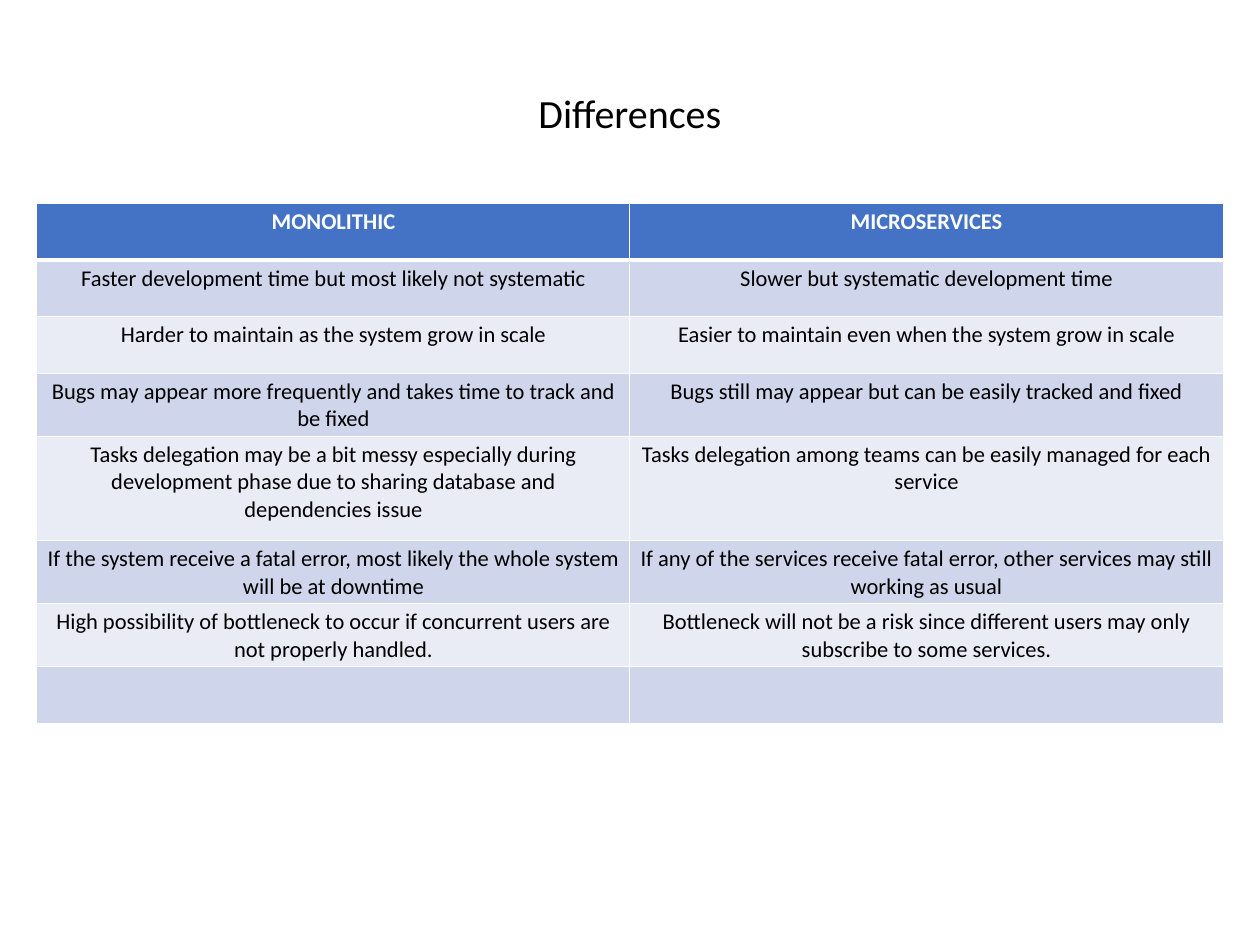
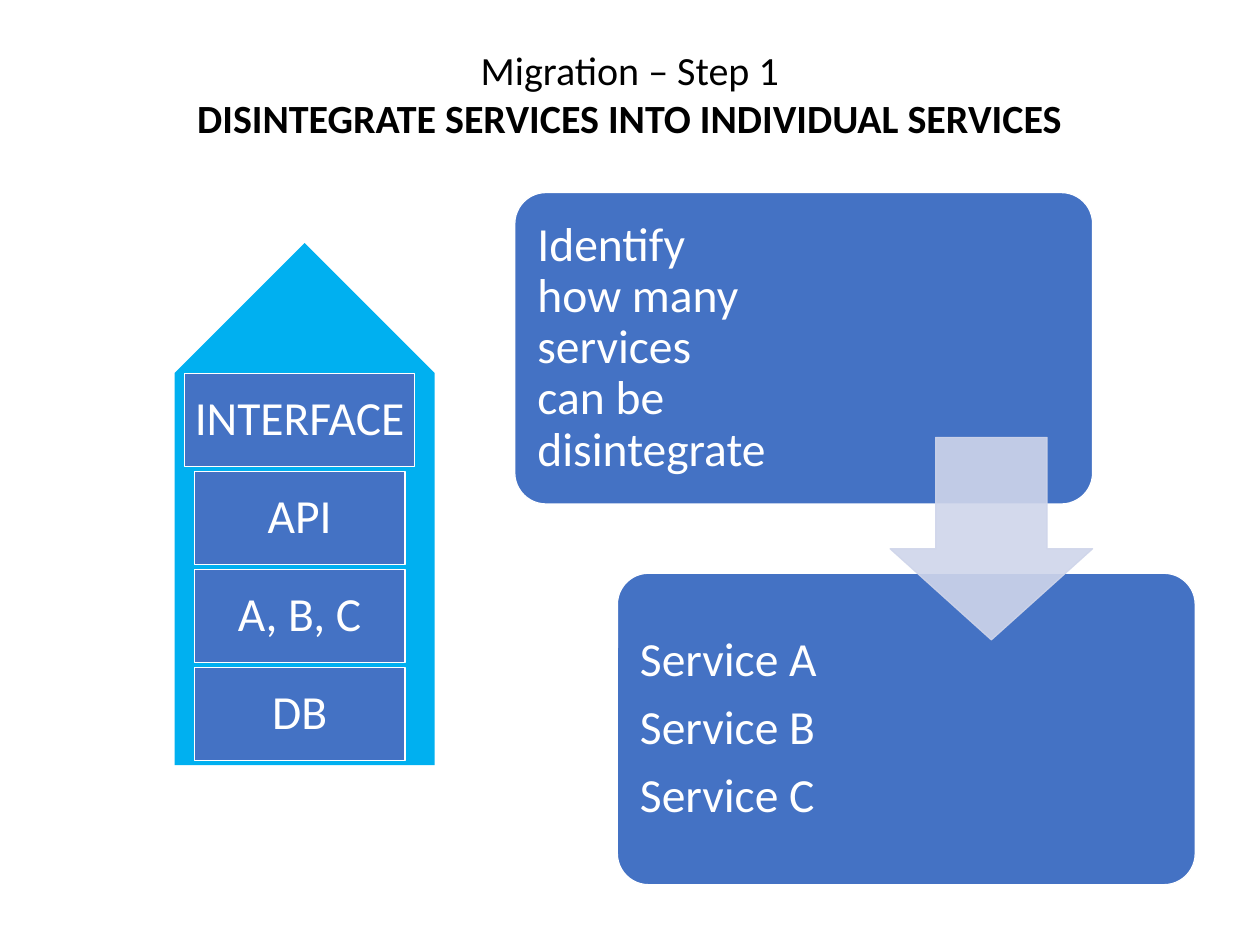
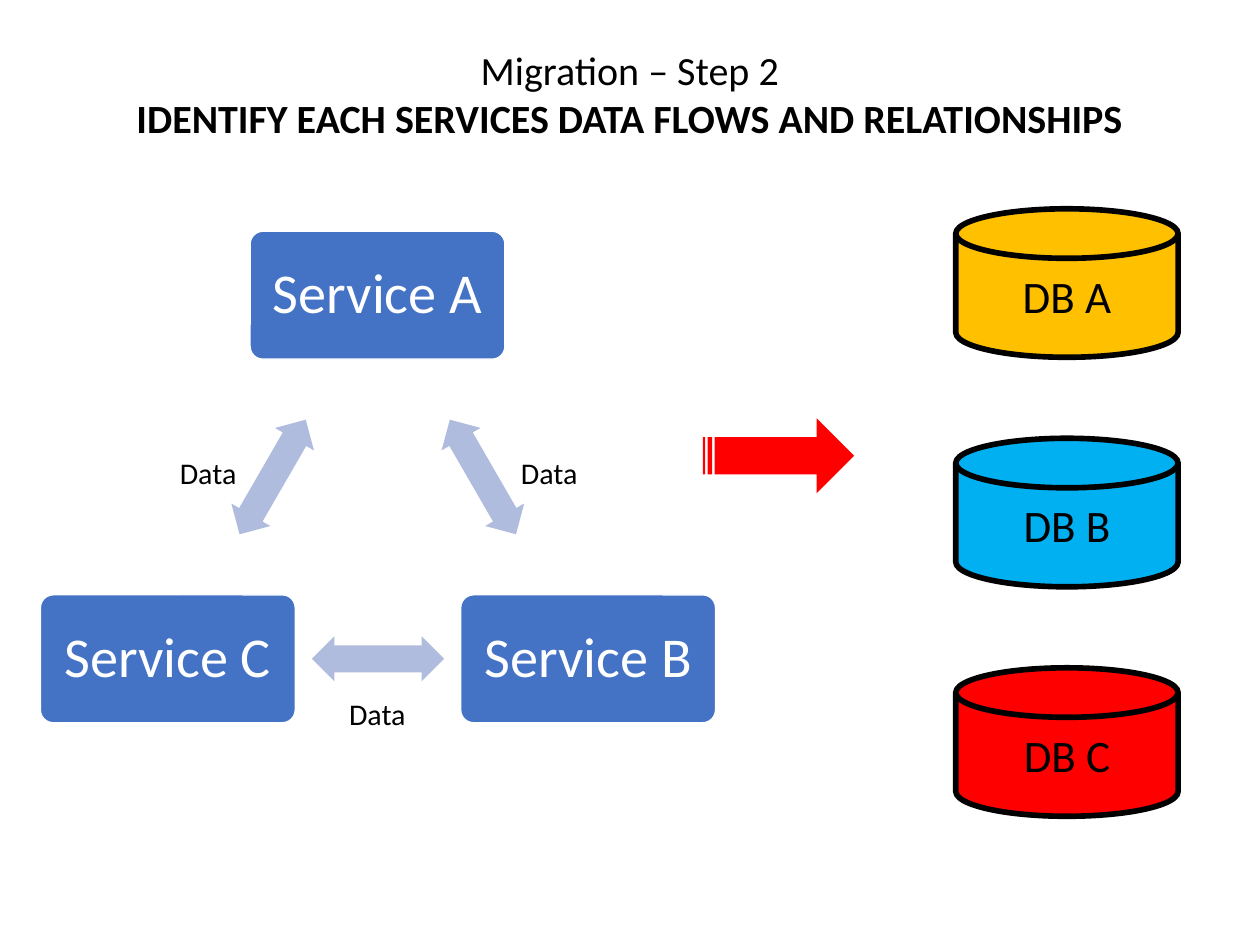
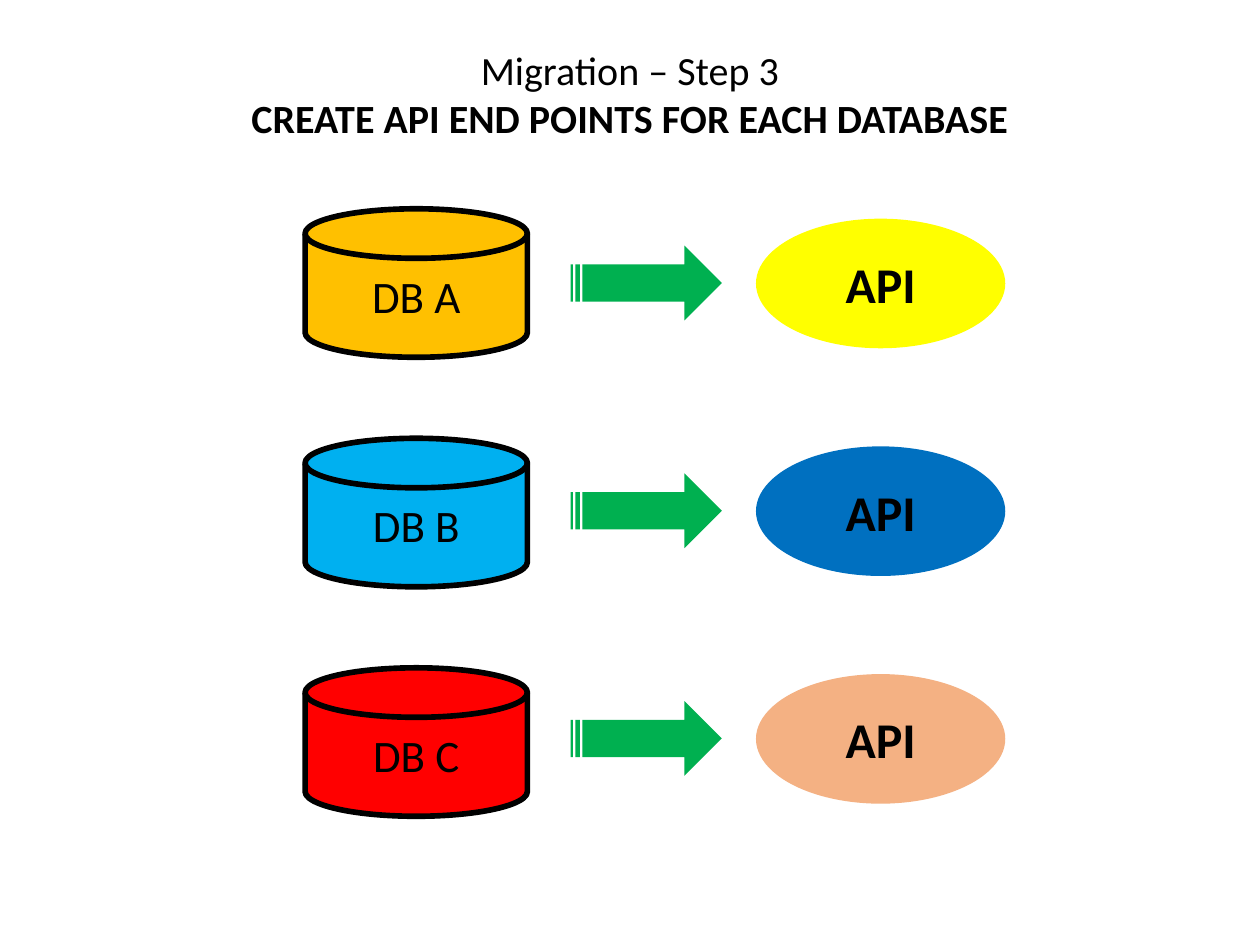
from lxml.etree import SubElement
from pptx import Presentation
from pptx.dml.color import RGBColor
from pptx.enum.shapes import MSO_SHAPE
from pptx.enum.text import MSO_ANCHOR, MSO_AUTO_SIZE, PP_ALIGN
from pptx.oxml.ns import qn
from pptx.util import Inches, Pt

FONT = "Calibri"
SLIDE_WIDTH, SLIDE_HEIGHT = 14, 10.5
COLORS = {
    "white": "FFFFFF",
    "black": "000000",
    "blue": "4472C4",
    "band_dark": "CFD5EA",
    "band_light": "E9EBF5",
    "flow": "B0BCDE",
    "sky": "00B0F0",
    "red": "FF0000",
    "amber": "FFC000",
    "green": "00B050",
    "yellow": "FFFF00",
    "deep_blue": "0070C0",
    "peach": "F4B183",
}
COMPARISON = [
    ("MONOLITHIC", "MICROSERVICES"),
    ("Faster development time but most likely not systematic",
     "Slower but systematic development time"),
    ("Harder to maintain as the system grow in scale",
     "Easier to maintain even when the system grow in scale"),
    ("Bugs may appear more frequently and takes time to track and be fixed",
     "Bugs still may appear but can be easily tracked and fixed"),
    ("Tasks delegation may be a bit messy especially during development phase "
     "due to sharing database and dependencies issue",
     "Tasks delegation among teams can be easily managed for each service"),
    ("If the system receive a fatal error, most likely the whole system will be at downtime",
     "If any of the services receive fatal error, other services may still working as usual"),
    ("High possibility of bottleneck to occur if concurrent users are not properly handled.",
     "Bottleneck will not be a risk since different users may only subscribe to some services."),
    ("", ""),
]
ROW_HEIGHT, TALL_ROW_HEIGHT, TALL_ROW = 0.63, 1.16, 4
DATABASES = [("DB A", "amber"), ("DB B", "sky"), ("DB C", "red")]
DATABASE_STEP = 2.55
API_COLORS = ["yellow", "deep_blue", "peach"]
API_STEP = 2.53


def rgb(name):
    return RGBColor.from_string(COLORS[name])


def write(paragraph, text, size, color="black", bold=False, align=PP_ALIGN.CENTER):
    paragraph.alignment = align
    run = paragraph.add_run()
    run.text = text
    run.font.name = FONT
    run.font.size = Pt(size)
    run.font.bold = bold
    run.font.color.rgb = rgb(color)


def add_shape(slide, kind, box, fill, line=None, line_width=1, adjustments=(), rotation=0):
    shape = slide.shapes.add_shape(kind, *map(Inches, box))
    shape.shadow.inherit = False
    shape.rotation = rotation
    shape.fill.solid()
    shape.fill.fore_color.rgb = rgb(fill)
    if line:
        shape.line.color.rgb = rgb(line)
        shape.line.width = Pt(line_width)
    else:
        shape.line.fill.background()
    for index, value in enumerate(adjustments):
        shape.adjustments[index] = value
    return shape


def fill_frame(shape, lines, size, inset=0.1, right_inset=None, spaced=False, **style):
    frame = shape.text_frame
    frame.word_wrap = True
    frame.vertical_anchor = MSO_ANCHOR.MIDDLE
    frame.margin_left = frame.margin_top = frame.margin_bottom = Inches(inset)
    frame.margin_right = Inches(inset if right_inset is None else right_inset)
    for index, line in enumerate(lines):
        paragraph = frame.add_paragraph() if index else frame.paragraphs[0]
        write(paragraph, line, size, **style)
        if spaced:
            paragraph.line_spacing = 0.9
            paragraph.space_after = Pt(size * 0.35)


def add_text_box(slide, box, wrap):
    frame = slide.shapes.add_textbox(*map(Inches, box)).text_frame
    frame.word_wrap = wrap
    frame.auto_size = MSO_AUTO_SIZE.SHAPE_TO_FIT_TEXT
    return frame


def add_title(slide, top, width, heading, subtitle=None):
    height = 1.18 if subtitle else 0.64
    frame = add_text_box(slide, ((SLIDE_WIDTH - width) / 2, top, width, height), False)
    write(frame.paragraphs[0], heading, 32)
    if subtitle:
        write(frame.add_paragraph(), subtitle, 32, bold=True)


def set_borders(cell, bottom_width):
    properties = cell._tc.get_or_add_tcPr()
    for side, width in (("L", 1), ("R", 1), ("T", 1), ("B", bottom_width)):
        border = SubElement(properties, qn(f"a:ln{side}"), w=str(Pt(width)))
        solid = SubElement(border, qn("a:solidFill"))
        SubElement(solid, qn("a:srgbClr"), val=COLORS["white"])


def add_comparison(slide, left, top, width):
    heights = [TALL_ROW_HEIGHT if i == TALL_ROW else ROW_HEIGHT for i in range(len(COMPARISON))]
    box = (left, top, width, sum(heights))
    table = slide.shapes.add_table(len(COMPARISON), 2, *map(Inches, box)).table
    for row_index, texts in enumerate(COMPARISON):
        header = row_index == 0
        fill = "blue" if header else "band_dark" if row_index % 2 else "band_light"
        table.rows[row_index].height = Inches(heights[row_index])
        for cell, text in zip(table.rows[row_index].cells, texts):
            set_borders(cell, 3 if header else 1)
            cell.fill.solid()
            cell.fill.fore_color.rgb = rgb(fill)
            if text:
                write(cell.text_frame.paragraphs[0], text, 18,
                      "white" if header else "black", header)


def add_monolith(slide, left, top, width, height):
    turned = (left + (width - height) / 2, top + (height - width) / 2, height, width)
    add_shape(slide, MSO_SHAPE.PENTAGON, turned, "sky", rotation=270)
    for index, label in enumerate(["INTERFACE", "API", "A, B, C", "DB"]):
        inset, layer_width = (0.22, 2.34) if index else (0.11, 2.56)
        box = (left + inset, top + 1.45 + 1.09 * index, layer_width, 1.03)
        layer = add_shape(slide, MSO_SHAPE.RECTANGLE, box, "blue", "white")
        fill_frame(layer, [label], 38, 0.11, spaced=True, color="white")


def add_service_steps(slide, left, top):
    steps = [["Identify how many services can be disintegrate"],
             ["Service A", "Service B", "Service C"]]
    for index, lines in enumerate(steps):
        box = (left + 1.14 * index, top + 4.23 * index, 6.42, 3.46)
        step = add_shape(slide, MSO_SHAPE.ROUNDED_RECTANGLE, box, "blue", "white",
                         adjustments=[0.1])
        fill_frame(step, lines, 38, 0.15, 3.52, True, color="white", align=PP_ALIGN.LEFT)
    arrow = add_shape(slide, MSO_SHAPE.DOWN_ARROW, (left + 4.17, top + 2.72, 2.25, 2.25),
                      "band_dark", "band_dark", adjustments=[0.55, 0.45])
    for color in arrow._element.spPr.iter(qn("a:srgbClr")):
        SubElement(color, qn("a:alpha"), val="90000")


def add_service_cycle(slide, left, top):
    width, height = 2.83, 1.42
    arrow_width, arrow_height = 1.47, 0.5
    services = [("Service A", 2.33, 0), ("Service B", 4.67, 4.04), ("Service C", 0, 4.04)]
    for index, (label, x, y) in enumerate(services):
        service = add_shape(slide, MSO_SHAPE.ROUNDED_RECTANGLE,
                            (left + x, top + y, width, height), "blue", "white",
                            adjustments=[0.1])
        fill_frame(service, [label], 45, 0.19, spaced=True, color="white")
        _, next_x, next_y = services[(index + 1) % len(services)]
        center_x = left + (x + next_x + width) / 2
        center_y = top + (y + next_y + height) / 2
        box = (center_x - arrow_width / 2, center_y - arrow_height / 2, arrow_width, arrow_height)
        add_shape(slide, MSO_SHAPE.LEFT_RIGHT_ARROW, box, "flow",
                  adjustments=[0.6, 0.5], rotation=60 + 120 * index)
    for x, y in [(1.45, 2.43), (3.33, 5.11), (5.24, 2.43)]:
        frame = add_text_box(slide, (left + x, top + y, 0.84, 0.5), True)
        write(frame.paragraphs[0], "Data", 24, align=PP_ALIGN.LEFT)


def add_striped_arrow(slide, left, top, fill):
    add_shape(slide, MSO_SHAPE.STRIPED_RIGHT_ARROW, (left, top, 1.68, 0.83), fill)


def add_databases(slide, left, top):
    for index, (label, fill) in enumerate(DATABASES):
        box = (left, top + DATABASE_STEP * index, 2.47, 1.65)
        database = add_shape(slide, MSO_SHAPE.FLOWCHART_MAGNETIC_DISK, box, fill, "black", 4.5)
        fill_frame(database, [label], 36)


def add_endpoints(slide, left, top):
    for index, fill in enumerate(API_COLORS):
        y = top + API_STEP * index
        add_striped_arrow(slide, left, y + 0.3, "green")
        endpoint = add_shape(slide, MSO_SHAPE.OVAL, (left + 2.06, y, 2.77, 1.44), fill)
        fill_frame(endpoint, ["API"], 40, bold=True)


def build_differences(slide):
    add_title(slide, 0.93, 2.26, "Differences")
    add_comparison(slide, 0.41, 2.26, 13.18)


def build_disintegration(slide):
    add_monolith(slide, 1.94, 2.7, 2.89, 5.8)
    add_title(slide, 0.46, 9.9, "Migration – Step 1",
              "DISINTEGRATE SERVICES INTO INDIVIDUAL SERVICES")
    add_service_steps(slide, 5.72, 2.14)


def build_data_flows(slide):
    add_service_cycle(slide, 0.45, 2.57)
    add_title(slide, 0.46, 11.27, "Migration – Step 2",
              "IDENTIFY EACH SERVICES DATA FLOWS AND RELATIONSHIPS")
    add_striped_arrow(slide, 7.81, 4.65, "red")
    add_databases(slide, 10.62, 2.32)


def build_api_endpoints(slide):
    add_title(slide, 0.46, 8.69, "Migration – Step 3",
              "CREATE API END POINTS FOR EACH DATABASE")
    add_databases(slide, 3.39, 2.32)
    add_endpoints(slide, 6.34, 2.43)


def main():
    presentation = Presentation()
    presentation.slide_width = Inches(SLIDE_WIDTH)
    presentation.slide_height = Inches(SLIDE_HEIGHT)
    for build in (build_differences, build_disintegration, build_data_flows, build_api_endpoints):
        build(presentation.slides.add_slide(presentation.slide_layouts[6]))
    presentation.save("out.pptx")


if __name__ == "__main__":
    main()
